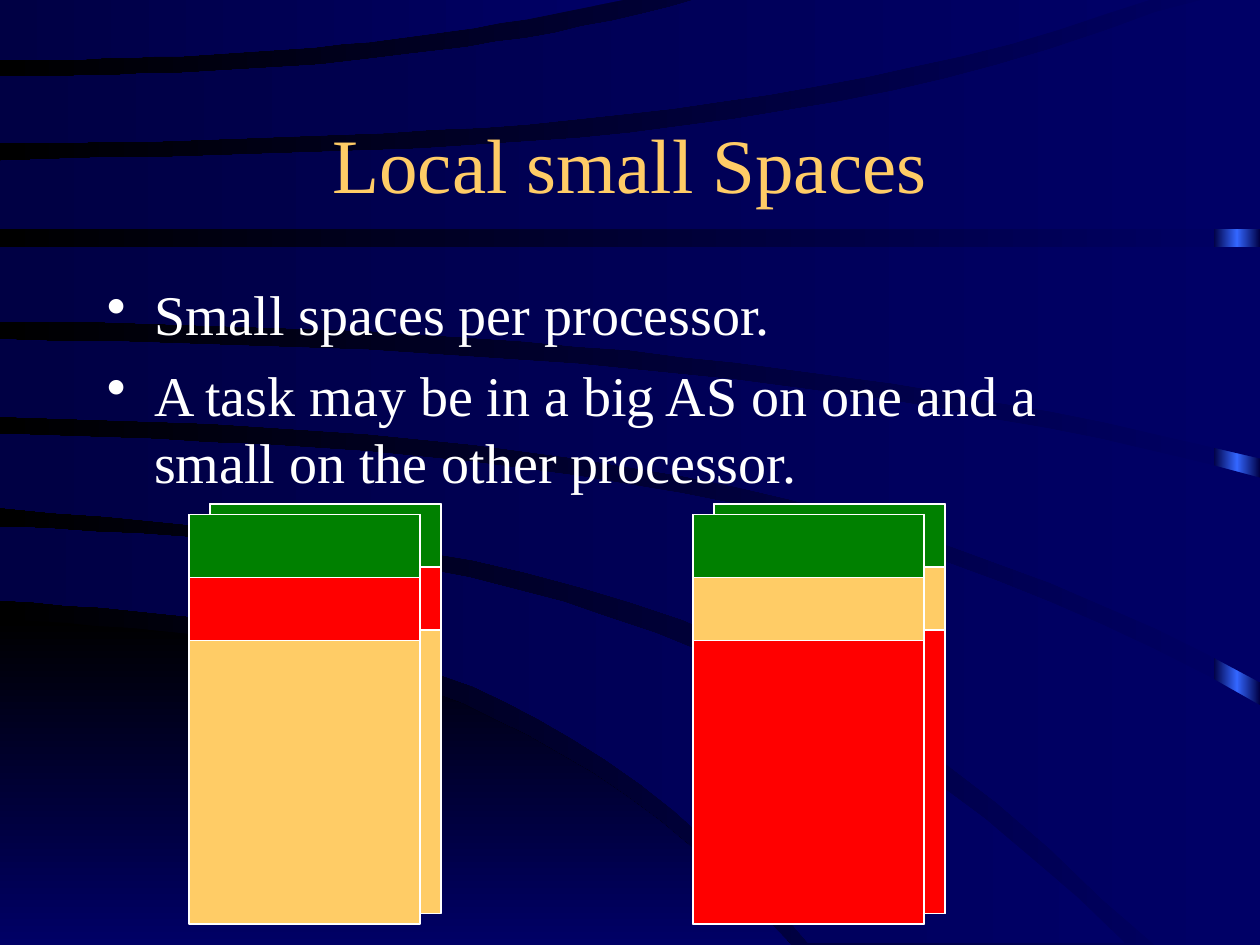
import copy

import pptx
import pptx.dml.color
import pptx.enum.shapes
import pptx.enum.text
import pptx.oxml
import pptx.oxml.ns
import pptx.util

Pt = pptx.util.Pt
RGBColor = pptx.dml.color.RGBColor
PP_ALIGN = pptx.enum.text.PP_ALIGN
ANCHOR = pptx.enum.text.MSO_ANCHOR

NAVY = RGBColor(0x00, 0x00, 0x66)
DARK_NAVY = RGBColor(0x00, 0x00, 0x44)
BLACK = RGBColor(0x00, 0x00, 0x00)
BLUE = RGBColor(0x33, 0x66, 0xFF)
GOLD = RGBColor(0xFF, 0xCC, 0x66)
GREEN = RGBColor(0x00, 0x80, 0x00)
RED = RGBColor(0xFF, 0x00, 0x00)
WHITE = RGBColor(0xFF, 0xFF, 0xFF)

WIDTH, HEIGHT = 720, 540


def flat(right, y):
    return (right, y, y, y, y)


# An edge is its right end, then its heights at 0, 1/3, 2/3 and 3/3 of the way
CORNER = ((452, 354, 369, 420, 540), flat(452, HEIGHT))
BANDS = [
    ((643, 301, 320, 385, 539), (462, 343, 359, 411, 539)),
    ((WIDTH, 248, 261, 303, 403), (WIDTH, 290, 315, 397, 619)),
    ((WIDTH, 194, 202, 225, 273), (WIDTH, 238, 251, 293, 390)),
    (flat(WIDTH, 141), (WIDTH, 184, 191, 215, 262)),
    ((WIDTH, 92, 85, 58, -19), flat(WIDTH, 131)),
    ((400, 44, 40, 27, -1), (660, 82, 76, 54, -1)),
    (flat(361, -1), (361, 34, 31, 20, -1)),
]


def curve(edge, steps=24):
    """Points of the cubic through the four heights, kept on the slide."""
    right, a, b, c, d = edge
    points = []
    for step in range(steps + 1):
        s = 3 * step / steps
        y = (a + (b - a) * s + (c - 2 * b + a) * s * (s - 1) / 2
             + (d - 3 * c + 3 * b - a) * s * (s - 1) * (s - 2) / 6)
        points.append((right * step / steps, min(max(y, -1), HEIGHT)))
    return points


def set_all(target, values):
    for key, value in values.items():
        setattr(target, key, value)


class Deck:
    FONT = "Times New Roman"
    INSETS = {"word_wrap": True, "margin_left": Pt(7.2), "margin_right": Pt(7.2),
              "margin_top": Pt(3.6), "margin_bottom": Pt(3.6)}
    LEFTWARD, DOWNWARD = 180, 270

    def __init__(self):
        self.presentation = pptx.Presentation()
        set_all(self.presentation, {"slide_width": Pt(WIDTH), "slide_height": Pt(HEIGHT)})
        self.slide = self.presentation.slides.add_slide(self.presentation.slide_layouts[6])

    def gradient(self, fill, colours, angle):
        fill.gradient()
        fill.gradient_angle = angle
        stop_list = fill.gradient_stops[0]._gs.getparent()
        while len(stop_list) < len(colours):
            stop_list.append(copy.deepcopy(stop_list[0]))
        for index, (stop, colour) in enumerate(zip(fill.gradient_stops, colours)):
            stop.color.rgb = colour
            stop.position = index / (len(colours) - 1)

    def rectangle(self, left, top, width, height, colour=None):
        box = self.slide.shapes.add_shape(
            pptx.enum.shapes.MSO_SHAPE.RECTANGLE, Pt(left), Pt(top), Pt(width), Pt(height))
        box.shadow.inherit = False
        if colour is None:
            box.line.fill.background()
        else:
            box.fill.solid()
            box.fill.fore_color.rgb = colour
            box.line.color.rgb = WHITE
            box.line.width = Pt(0.75)
        return box

    def band(self, upper, lower, colours, angle):
        points = curve(upper) + curve(lower)[::-1]
        builder = self.slide.shapes.build_freeform(*points[0], scale=float(Pt(1)))
        builder.add_line_segments(points[1:], close=True)
        area = builder.convert_to_shape()
        area.shadow.inherit = False
        area.line.fill.background()
        self.gradient(area.fill, colours, angle)

    def text(self, left, top, width, height, lines, size, colour, anchor, paragraph_format,
             bullet=None):
        box = self.slide.shapes.add_textbox(Pt(left), Pt(top), Pt(width), Pt(height))
        frame = box.text_frame
        set_all(frame, {**self.INSETS, "vertical_anchor": anchor})
        frame.text = "\n".join(lines)
        for paragraph in frame.paragraphs:
            set_all(paragraph, paragraph_format)
            run = paragraph.runs[0]
            set_all(run.font, {"name": self.FONT, "size": Pt(size)})
            run.font.color.rgb = colour
            if bullet:
                self.bullet(paragraph, bullet, colour)

    def bullet(self, paragraph, mark, colour, indent=27):
        properties = paragraph._p.get_or_add_pPr()
        properties.set("marL", str(Pt(indent)))
        properties.set("indent", str(-Pt(indent)))
        namespace = pptx.oxml.ns.nsdecls("a")
        for xml in (f'<a:buClr {namespace}><a:srgbClr val="{colour}"/></a:buClr>',
                    f'<a:buChar {namespace} char="{mark}"/>'):
            properties.append(pptx.oxml.parse_xml(xml))

    def address_space(self, left, top, red_offset, red_height):
        for offset, height, colour in ((0, 234, GOLD), (0, 36, GREEN),
                                       (red_offset, red_height, RED)):
            self.rectangle(left, top + offset, 132, height, colour)


def main():
    deck = Deck()

    # Backdrop: glowing right edge, dark corner and curved bands
    deck.gradient(deck.slide.background.fill, [NAVY, BLACK], deck.LEFTWARD)
    glow = deck.rectangle(693.5, 0, 26.5, HEIGHT)
    deck.gradient(glow.fill, [DARK_NAVY, BLUE, DARK_NAVY], deck.LEFTWARD)
    deck.band(*CORNER, [BLACK, NAVY], deck.DOWNWARD)
    for upper, lower in BANDS:
        deck.band(upper, lower, [NAVY, DARK_NAVY], deck.LEFTWARD)

    # Each processor: left edge, then offset and height of its red space
    processors = [(108, 36, 36), (396, 72, 162)]
    for left, red_offset, red_height in processors:
        deck.address_space(left + 12, 288, red_offset, red_height)

    # Title and points
    deck.text(54, 48, 612, 90, ["Local small Spaces"], 44, GOLD, ANCHOR.MIDDLE,
              {"alignment": PP_ALIGN.CENTER})
    deck.text(54, 156, 612, 324,
              ["Small spaces per processor.",
               "A task may be in a big AS on one and a small on the other processor."],
              32, WHITE, ANCHOR.TOP,
              {"alignment": PP_ALIGN.LEFT, "space_before": Pt(8)}, bullet="•")

    # Front address spaces
    for left, red_offset, red_height in processors:
        deck.address_space(left, 294, red_offset, red_height)

    deck.presentation.save("out.pptx")


if __name__ == "__main__":
    main()
